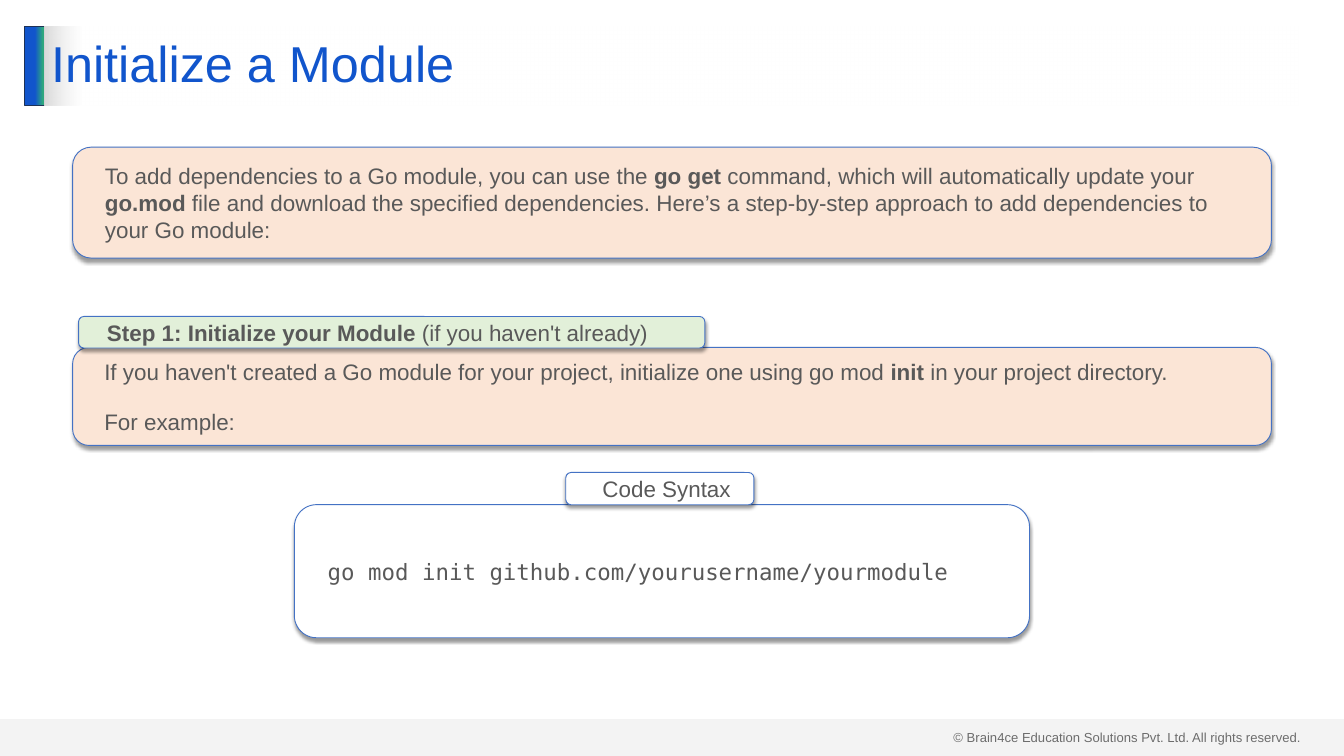
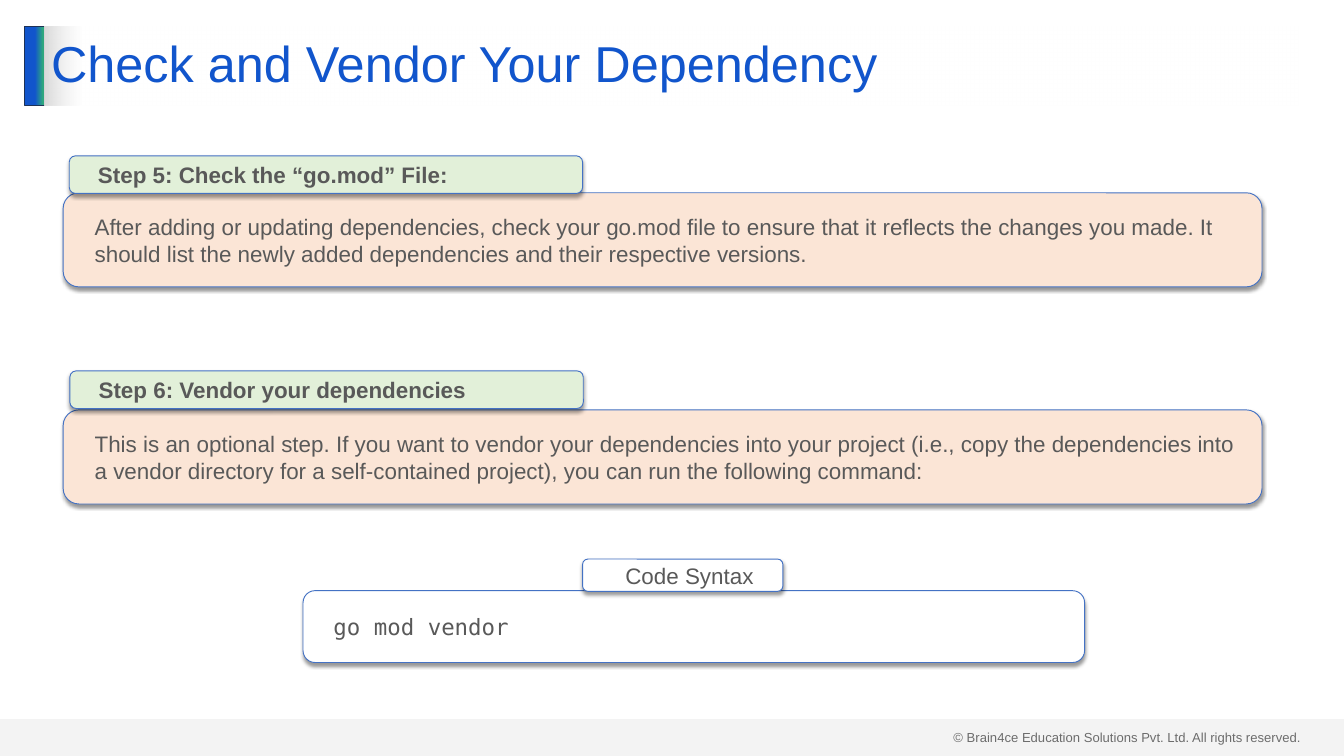
import pptx
import pptx.util
import pptx.dml.color
import pptx.enum.shapes
import pptx.enum.text
import pptx.oxml
import pptx.oxml.ns

Pt = pptx.util.Pt
RGBColor = pptx.dml.color.RGBColor
SHAPE = pptx.enum.shapes.MSO_SHAPE
ALIGN = pptx.enum.text.PP_ALIGN
MIDDLE = pptx.enum.text.MSO_ANCHOR.MIDDLE
qn = pptx.oxml.ns.qn
NS = pptx.oxml.ns.nsdecls("a")

WHITE = RGBColor(0xFF, 0xFF, 0xFF)
BLUE = RGBColor(0x11, 0x55, 0xCC)
GREEN = RGBColor(0x2E, 0xA8, 0x7D)
NAVY = RGBColor(0x1E, 0x32, 0x56)
OUTLINE = RGBColor(0x44, 0x72, 0xC4)
PEACH = RGBColor(0xFB, 0xE5, 0xD6)
MINT = RGBColor(0xE2, 0xF0, 0xD9)
GRAY = RGBColor(0xD9, 0xD9, 0xD9)
BODY_TEXT = RGBColor(0x59, 0x59, 0x59)
FOOTER_TEXT = RGBColor(0x40, 0x40, 0x40)
SANS, MONO = "Arial", "DejaVu Sans Mono"

STYLES = {
    "body": (PEACH, SANS, ALIGN.LEFT),
    "step": (MINT, SANS, ALIGN.LEFT),
    "code": (WHITE, MONO, ALIGN.LEFT),
    "code label": (WHITE, SANS, ALIGN.CENTER),
}

# Text between double asterisks is bold.
SLIDES = [
    ("Initialize a Module", [
        ("body", (77.8, 157.7, 1284.5, 118.8), [
            "To add dependencies to a Go module, you can use the **go get **command, which will "
            "automatically update your **go.mod **file and download the specified dependencies. "
            "Here’s a step-by-step approach to add dependencies to your Go module:"]),
        ("body", (77.8, 372.2, 1284.5, 105.1), [
            "If you haven't created a Go module for your project, initialize one using go mod "
            "**init** in your project directory.",
            "For example:"]),
        ("code", (315.4, 540.7, 787.7, 142.6), ["go mod init github.com/yourusername/yourmodule"]),
        ("code label", (606.2, 506.2, 201.6, 34.6), ["Code Syntax"]),
        ("step", (84.2, 339.1, 671, 33.8),
         ["**Step 1: Initialize your Module **(if you haven't already)"]),
    ]),
    ("Check and Vendor Your Dependency", [
        ("body", (67.7, 206.6, 1284.5, 100.8), [
            "After adding or updating dependencies, check your go.mod file to ensure that it "
            "reflects the changes you made. It should list the newly added dependencies and "
            "their respective versions."]),
        ("step", (74.2, 167, 550.1, 40.3), ["**Step 5: Check the “go.mod” File:**"]),
        ("body", (67.7, 439.2, 1284.5, 100.8), [
            "This is an optional step. If you want to vendor your dependencies into your project "
            "(i.e., copy the dependencies into a vendor directory for a self-contained project), "
            "you can run the following command:"]),
        ("code", (324.7, 632.9, 837.4, 77), ["go mod vendor"]),
        ("code label", (624.2, 599, 214.6, 34.6), ["Code Syntax"]),
        ("step", (74.9, 397.4, 550.1, 40.3), ["**Step 6: Vendor your dependencies**"]),
    ]),
]


def fill_gradient(shape, stops):
    shape.fill.gradient()
    shape.fill.gradient_angle = 0
    stop_list = shape.element.spPr.find(qn("a:gradFill")).find(qn("a:gsLst"))
    for old_stop in list(stop_list):
        stop_list.remove(old_stop)
    for position, color, opacity in stops:
        stop_list.append(pptx.oxml.parse_xml(
            f'<a:gs {NS} pos="{position * 1000}"><a:srgbClr val="{color}">'
            f'<a:alpha val="{opacity * 1000}"/></a:srgbClr></a:gs>'))


def style_font(font, name, size, color):
    font.name = name
    font.size = Pt(size)
    font.color.rgb = color


deck = pptx.Presentation()
deck.slide_width, deck.slide_height = Pt(1440), Pt(810)
title_only = deck.slide_layouts[5]
slides = [deck.slides.add_slide(title_only) for _ in SLIDES]

drawn = slides[0].shapes
copyright_line = drawn.add_textbox(Pt(1014.5), Pt(777.6), Pt(389.5), Pt(24.5))
copyright_line.text_frame.word_wrap = False
copyright_line.text_frame.text = "© Brain4ce Education Solutions Pvt. Ltd. All rights reserved."
style_font(copyright_line.text_frame.paragraphs[0].runs[0].font, SANS, 14, FOOTER_TEXT)

accent_bar = drawn.add_shape(SHAPE.RECTANGLE, Pt(26.6), Pt(28), Pt(21.6), Pt(85))
accent_bar.shadow.inherit = False
fill_gradient(accent_bar, [(51, BLUE, 100), (90, GREEN, 100), (100, GREEN, 100)])
accent_bar.line.color.rgb = NAVY
accent_bar.line.width = Pt(1)

footer_band = drawn.add_shape(SHAPE.RECTANGLE, Pt(0), Pt(770.4), Pt(1440), Pt(39.6))
footer_band.shadow.inherit = False
footer_band.fill.solid()
footer_band.fill.fore_color.rgb = GRAY
band_color = footer_band.element.spPr.find(qn("a:solidFill")).find(qn("a:srgbClr"))
band_color.append(pptx.oxml.parse_xml(f'<a:alpha {NS} val="29000"/>'))
footer_band.line.fill.background()

for shared in (copyright_line, accent_bar, footer_band):
    title_only.shapes.element.append(shared.element)

for slide, (heading, panels) in zip(slides, SLIDES):
    title = slide.shapes.title
    title.left, title.top, title.width, title.height = Pt(47.5), Pt(28), Pt(1344.2), Pt(85)
    fill_gradient(title, [(0, GRAY, 100), (3, WHITE, 50), (100, WHITE, 50)])
    title.text_frame.text = heading
    title.text_frame.word_wrap = True
    title.text_frame.auto_size = pptx.enum.text.MSO_AUTO_SIZE.NONE
    title.text_frame.vertical_anchor = MIDDLE
    heading_line = title.text_frame.paragraphs[0]
    heading_line.alignment = ALIGN.LEFT
    heading_line.line_spacing = 0.9
    style_font(heading_line.runs[0].font, SANS, 54, BLUE)

    for style, place, texts in panels:
        fill_color, font_name, alignment = STYLES[style]
        panel = slide.shapes.add_shape(SHAPE.ROUNDED_RECTANGLE, *map(Pt, place))
        panel.fill.solid()
        panel.fill.fore_color.rgb = fill_color
        panel.line.color.rgb = OUTLINE
        panel.line.width = Pt(1)
        panel.shadow.inherit = False
        panel.element.spPr.find(qn("a:effectLst")).append(pptx.oxml.parse_xml(
            f'<a:outerShdw {NS} blurRad="{Pt(4)}" dist="{Pt(3)}" dir="5400000" algn="t" '
            'rotWithShape="0"><a:srgbClr val="000000"><a:alpha val="40000"/></a:srgbClr>'
            '</a:outerShdw>'))

        frame = panel.text_frame
        frame.word_wrap = True
        frame.vertical_anchor = MIDDLE
        frame.margin_left = frame.margin_right = Pt(14.4)
        frame.margin_top = frame.margin_bottom = Pt(7.2)
        for number, text in enumerate(texts):
            paragraph = frame.add_paragraph() if number else frame.paragraphs[0]
            paragraph.alignment = alignment
            paragraph.space_before = Pt(12 if number else 0)
            paragraph.space_after = Pt(12)
            indent = paragraph._p.get_or_add_pPr()
            indent.set("marL", str(Pt(14.4)))
            indent.set("indent", "0")
            for piece_number, piece in enumerate(text.split("**")):
                if piece:
                    run = paragraph.add_run()
                    run.text = piece
                    run.font.bold = piece_number % 2 == 1
                    style_font(run.font, font_name, 24, BODY_TEXT)

deck.save("out.pptx")
